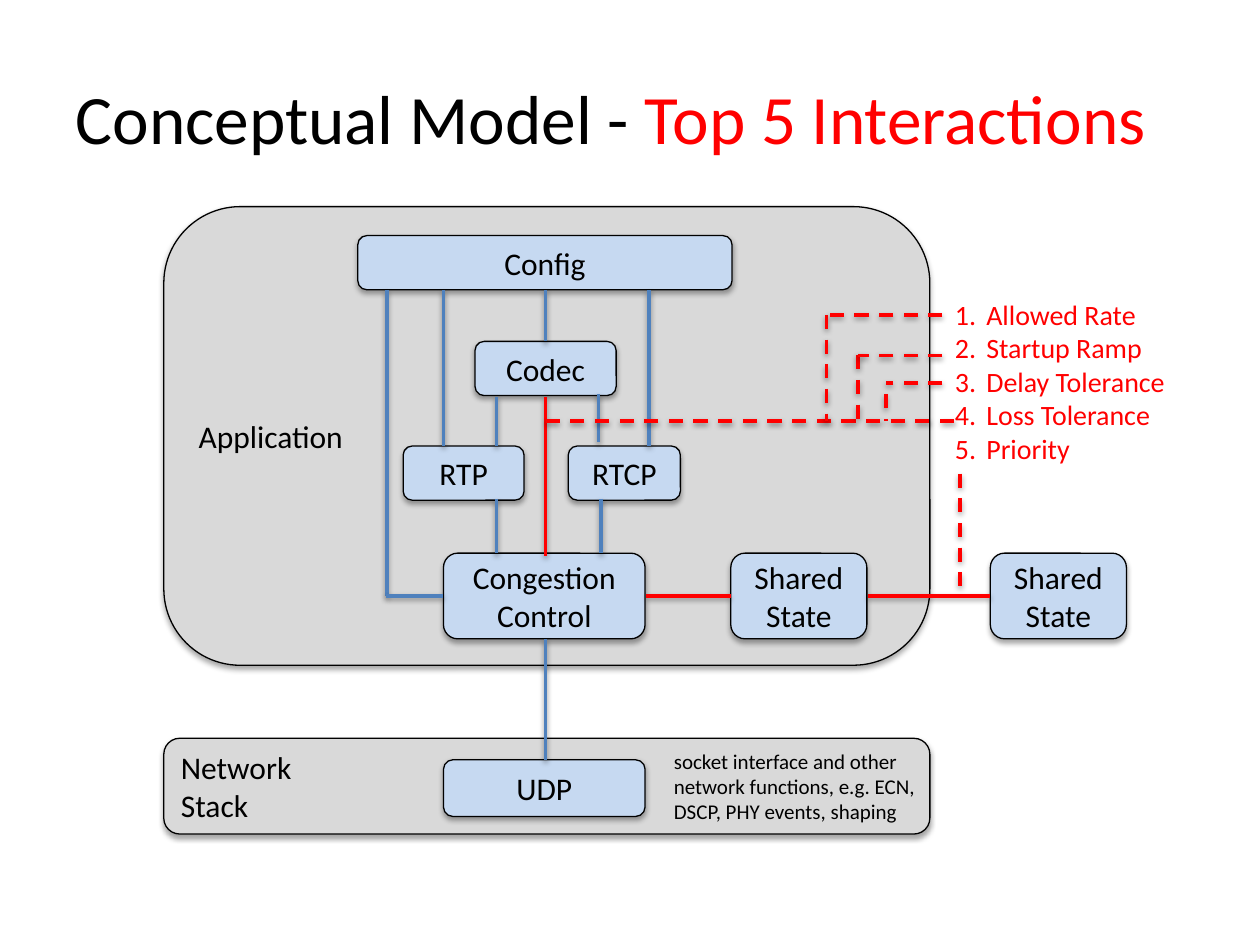
from dataclasses import dataclass

from lxml import etree
from pptx import Presentation
from pptx.dml.color import RGBColor
from pptx.enum import dml, shapes, text
from pptx.oxml import ns
from pptx.util import Inches, Pt

BLACK = RGBColor(0x00, 0x00, 0x00)
RED = RGBColor(0xFF, 0x00, 0x00)
BLUE = RGBColor(0x4F, 0x81, 0xBD)
PALE_BLUE = RGBColor(0xC6, 0xD9, 0xF1)
GREY = RGBColor(0xD9, 0xD9, 0xD9)
FONT = "Calibri"


@dataclass
class Box:
    label: str
    left: float
    top: float
    width: float
    height: float
    fill: RGBColor = PALE_BLUE
    align: text.PP_ALIGN = text.PP_ALIGN.CENTER


@dataclass
class Link:
    x1: float
    y1: float
    x2: float
    y2: float
    color: RGBColor = BLUE
    dashed: bool = False


def style_runs(frame, size: float, color: RGBColor) -> None:
    for paragraph in frame.paragraphs:
        for run in paragraph.runs:
            run.font.name = FONT
            run.font.size = Pt(size)
            run.font.color.rgb = color


def add_shadow(item, opacity: int, distance: float) -> None:
    effects = etree.SubElement(item._element.spPr, ns.qn("a:effectLst"))
    shadow = etree.SubElement(
        effects, ns.qn("a:outerShdw"), blurRad=str(Pt(3.1)), dist=str(Pt(distance)),
        dir="5400000", algn="t", rotWithShape="0")
    tint = etree.SubElement(shadow, ns.qn("a:srgbClr"), val=str(BLACK))
    etree.SubElement(tint, ns.qn("a:alpha"), val=str(opacity * 1000))


def draw_box(slide, box: Box) -> None:
    block = slide.shapes.add_shape(
        shapes.MSO_SHAPE.ROUNDED_RECTANGLE, Inches(box.left), Inches(box.top),
        Inches(box.width), Inches(box.height))
    block.fill.solid()
    block.fill.fore_color.rgb = box.fill
    block.line.color.rgb = BLACK
    block.line.width = Pt(0.75)
    add_shadow(block, 35, 1.8)
    frame = block.text_frame
    frame.text = box.label
    frame.vertical_anchor = text.MSO_ANCHOR.MIDDLE
    for paragraph in frame.paragraphs:
        paragraph.alignment = box.align
    style_runs(frame, 18, BLACK)


def draw_link(slide, link: Link) -> None:
    connector = slide.shapes.add_connector(
        shapes.MSO_CONNECTOR.STRAIGHT, Inches(link.x1), Inches(link.y1),
        Inches(link.x2), Inches(link.y2))
    connector.line.color.rgb = link.color
    connector.line.width = Pt(2)
    if link.dashed:
        connector.line.dash_style = dml.MSO_LINE.DASH
    add_shadow(connector, 38, 1.6)


def add_note(slide, words: str, left: float, top: float, width: float,
             height: float, size: float, color: RGBColor):
    note = slide.shapes.add_textbox(
        Inches(left), Inches(top), Inches(width), Inches(height))
    frame = note.text_frame
    frame.word_wrap = True
    frame.text = words
    style_runs(frame, size, color)
    return frame


def number_paragraphs(frame) -> None:
    for paragraph in frame.paragraphs:
        properties = paragraph._p.get_or_add_pPr()
        properties.set("marL", str(Inches(0.25)))
        properties.set("indent", str(-Inches(0.25)))
        etree.SubElement(properties, ns.qn("a:buFont"), typeface=FONT)
        etree.SubElement(properties, ns.qn("a:buAutoNum"), type="arabicPeriod")


LEFT = text.PP_ALIGN.LEFT
AXIS = 4.33
CONTROL_TOP, CONTROL_MID, CONTROL_BOTTOM = 4.39, 4.73, 5.07
CONFIG_BOTTOM, RTP_TOP, RTP_BOTTOM = 2.3, 3.54, 3.96
RATE_LINE = 3.34

BOXES = [
    Box("Network\nStack", 1.3, 5.86, 6.08, 0.76, GREY, LEFT),
    Box("Application", 1.3, 1.64, 6.08, 3.64, GREY, LEFT),
    Box("UDP", 3.52, 6.03, 1.6, 0.45),
    Box("Config", 2.84, 1.87, 2.97, 0.43),
    Box("Codec", 3.77, 2.71, 1.12, 0.43),
    Box("Congestion Control", 3.52, CONTROL_TOP, 1.6, 0.68),
    Box("RTP", 3.2, RTP_TOP, 0.96, 0.43),
    Box("RTCP", 4.51, RTP_TOP, 0.89, 0.43),
    Box("Shared State", 5.8, CONTROL_TOP, 1.08, 0.68),
    Box("Shared State", 7.86, CONTROL_TOP, 1.08, 0.68),
]

LINKS = [
    Link(AXIS, CONFIG_BOTTOM, AXIS, 2.71),
    Link(AXIS, 3.15, AXIS, 4.41, RED),
    Link(AXIS, CONTROL_BOTTOM, AXIS, 6.03),
    Link(3.94, 3.15, 3.94, RTP_TOP),
    Link(3.94, RTP_BOTTOM, 3.94, CONTROL_TOP),
    Link(4.75, 3.13, 4.75, 3.51),
    Link(4.77, RTP_BOTTOM, 4.77, CONTROL_TOP),
    Link(3.52, CONFIG_BOTTOM, 3.52, RTP_TOP),
    Link(5.15, CONFIG_BOTTOM, 5.15, RTP_TOP),
    Link(3.07, CONFIG_BOTTOM, 3.07, CONTROL_MID),
    Link(3.06, CONTROL_MID, 3.52, CONTROL_MID),
    Link(5.13, CONTROL_MID, 5.8, CONTROL_MID, RED),
    Link(6.89, CONTROL_MID, 7.86, CONTROL_MID, RED),
    Link(AXIS, RATE_LINE, 7.62, RATE_LINE, RED, True),
    Link(7.62, 3.76, 7.62, CONTROL_MID, RED, True),
]
for x, branch_top, drop_top in ((6.56, 2.5, 2.5), (6.81, 2.82, 2.82), (7.03, 3.04, 3.13)):
    LINKS.append(Link(x, drop_top, x, RATE_LINE, RED, True))
    LINKS.append(Link(7.48, branch_top, x, branch_top, RED, True))

deck = Presentation()
deck.slide_width, deck.slide_height = Inches(10), Inches(7.5)
slide = deck.slides.add_slide(deck.slide_layouts[5])

title = slide.shapes.title
title.left, title.top, title.width, title.height = map(Inches, (0.5, 0.3, 9, 1.25))
heading = title.text_frame
heading.vertical_anchor = text.MSO_ANCHOR.MIDDLE
heading.text = "Conceptual Model - "
heading.paragraphs[0].alignment = LEFT
heading.paragraphs[0].add_run().text = "Top 5 Interactions"
style_runs(heading, 39.6, BLACK)
heading.paragraphs[0].runs[1].font.color.rgb = RED

for box in BOXES:
    draw_box(slide, box)
for link in LINKS:
    draw_link(slide, link)

add_note(slide, "socket interface and other network functions, e.g. ECN, "
         "DSCP, PHY events, shaping", 5.25, 5.89, 2.14, 0.71, 12, BLACK)
interactions = add_note(
    slide, "Allowed Rate\nStartup Ramp\nDelay Tolerance\nLoss Tolerance\nPriority",
    7.48, 2.31, 2.02, 1.45, 16, RED)
number_paragraphs(interactions)

deck.save("out.pptx")
